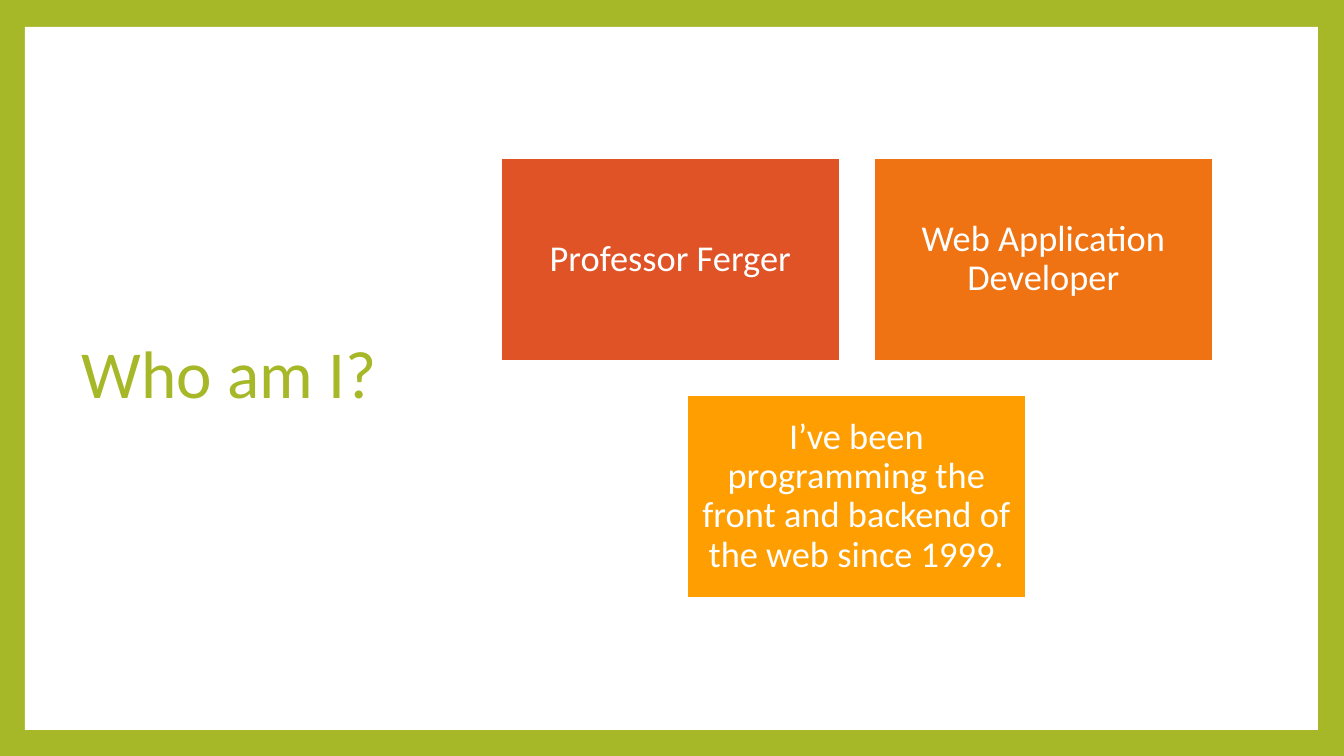
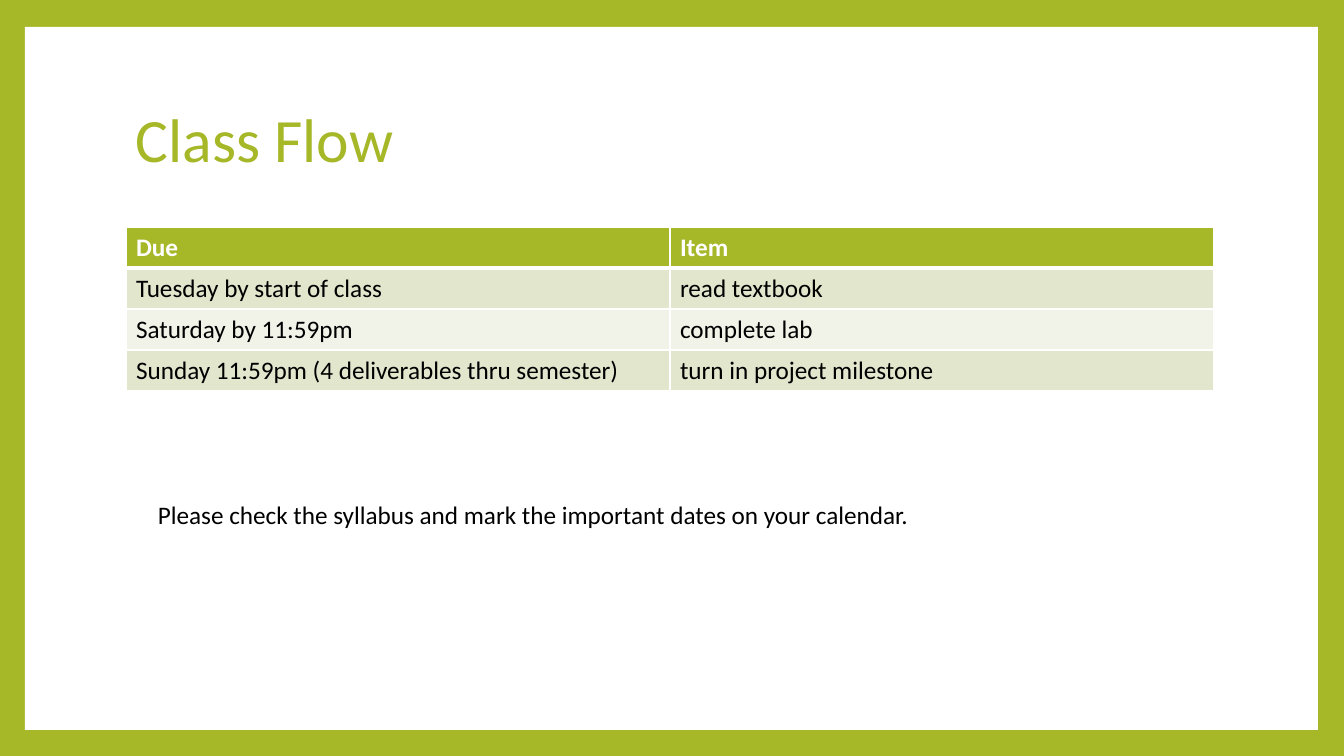
from dataclasses import dataclass

from lxml import etree
from pptx import Presentation
from pptx.dml.color import RGBColor
from pptx.enum.shapes import MSO_SHAPE
from pptx.enum.text import MSO_ANCHOR, PP_ALIGN
from pptx.oxml.ns import qn
from pptx.presentation import Presentation as Deck
from pptx.shapes.autoshape import Shape
from pptx.slide import Slide
from pptx.table import _Cell
from pptx.text.text import TextFrame
from pptx.util import Emu, Pt

RECT = MSO_SHAPE.RECTANGLE
TOP, MIDDLE = MSO_ANCHOR.TOP, MSO_ANCHOR.MIDDLE
LEFT, CENTER = PP_ALIGN.LEFT, PP_ALIGN.CENTER

GREEN = RGBColor(0xA6, 0xB7, 0x27)
RED = RGBColor(0xDF, 0x53, 0x27)
ORANGE = RGBColor(0xEF, 0x72, 0x13)
AMBER = RGBColor(0xFE, 0x9E, 0x00)
SAGE = RGBColor(0xE1, 0xE6, 0xCD)
PALE = RGBColor(0xF1, 0xF3, 0xE8)
WHITE = RGBColor(0xFF, 0xFF, 0xFF)
BLACK = RGBColor(0x00, 0x00, 0x00)

FONT = "Calibri"
SCALE = 914400 / 100.8
WIDE, HIGH = 1344, 756


@dataclass(frozen=True)
class Box:
    x: int
    y: int
    w: int
    h: int

    def emu(self) -> tuple[Emu, Emu, Emu, Emu]:
        return px(self.x), px(self.y), px(self.w), px(self.h)


@dataclass(frozen=True)
class Card:
    text: str
    fill: RGBColor
    col: float
    row: int


PANEL = Box(25, 27, 1293, 703)
CARD = Box(501, 158, 339, 203)
GAP = 34
CARDS = (
    Card("Professor Ferger", RED, 0, 0),
    Card("Web Application Developer", ORANGE, 1, 0),
    Card("I’ve been programming the front and backend of the web since 1999.", AMBER, 0.5, 1),
)
GRID = Box(126, 227, 1088, 164)
ROWS = (
    ("Due", "Item"),
    ("Tuesday by start of class", "read textbook"),
    ("Saturday by 11:59pm", "complete lab"),
    ("Sunday 11:59pm (4 deliverables thru semester)", "turn in project milestone"),
)


def px(size: float) -> Emu:
    return Emu(round(size * SCALE))


def write(frame: TextFrame, text: str, *, size: int = 18, color: RGBColor = BLACK,
          bold: bool = False, align: PP_ALIGN = LEFT, space: float = 1.0) -> None:
    para = frame.paragraphs[0]
    para.alignment = align
    para.line_spacing = space
    run = para.add_run()
    run.text = text
    font = run.font
    font.name, font.size, font.bold = FONT, Pt(size), bold
    font.color.rgb = color


def label(slide: Slide, box: Box, text: str, *, size: int = 18,
          color: RGBColor = BLACK, anchor: MSO_ANCHOR = TOP, space: float = 1.0) -> None:
    frame = slide.shapes.add_textbox(*box.emu()).text_frame
    frame.word_wrap = True
    frame.vertical_anchor = anchor
    write(frame, text, size=size, color=color, space=space)


def block(slide: Slide, box: Box, fill: RGBColor) -> Shape:
    shape = slide.shapes.add_shape(RECT, *box.emu())
    shape.shadow.inherit = False
    shape.fill.solid()
    shape.fill.fore_color.rgb = fill
    shape.line.fill.background()
    return shape


def start(deck: Deck, title: str, box: Box, size: int) -> Slide:
    slide = deck.slides.add_slide(deck.slide_layouts[6])
    back = slide.background.fill
    back.solid()
    back.fore_color.rgb = GREEN
    block(slide, PANEL, WHITE)
    label(slide, box, title, size=size, color=GREEN, anchor=MIDDLE, space=0.9)
    return slide


def tile(slide: Slide, card: Card) -> None:
    x = CARD.x + round(card.col * (CARD.w + GAP))
    y = CARD.y + card.row * (CARD.h + GAP)
    shape = block(slide, Box(x, y, CARD.w, CARD.h), card.fill)
    shape.line.color.rgb = WHITE
    shape.line.width = Pt(1.5)
    frame = shape.text_frame
    frame.word_wrap = True
    frame.vertical_anchor = MIDDLE
    frame.margin_left = frame.margin_right = px(11)
    frame.margin_top = frame.margin_bottom = px(11)
    write(frame, card.text, size=26, color=WHITE, align=CENTER, space=0.9)


def edge(cell: _Cell, top: int, bottom: int) -> None:
    props = cell._tc.get_or_add_tcPr()
    sides = (("L", 1), ("R", 1), ("T", top), ("B", bottom))
    for spot, (side, width) in enumerate(sides):
        line = etree.Element(qn(f"a:ln{side}"), w=str(Pt(width)))
        fill = etree.SubElement(line, qn("a:solidFill"))
        etree.SubElement(fill, qn("a:srgbClr"), val=str(WHITE))
        props.insert(spot, line)


def chart(slide: Slide) -> None:
    count, span = len(ROWS), len(ROWS[0])
    table = slide.shapes.add_table(count, span, *GRID.emu()).table
    for col in table.columns:
        col.width = px(GRID.w / span)
    for r, row in enumerate(ROWS):
        head = r == 0
        table.rows[r].height = px(GRID.h / count)
        for c, text in enumerate(row):
            cell = table.cell(r, c)
            cell.fill.solid()
            cell.fill.fore_color.rgb = GREEN if head else SAGE if r % 2 else PALE
            edge(cell, 3 if r == 1 else 1, 3 if head else 1)
            write(cell.text_frame, text, color=WHITE if head else BLACK, bold=head)


def main() -> None:
    deck = Presentation()
    deck.slide_width, deck.slide_height = px(WIDE), px(HIGH)

    intro = start(deck, "Who am I?", Box(72, 68, 371, 618), 48)
    for card in CARDS:
        tile(intro, card)

    flow = start(deck, "Class Flow", Box(126, 68, 1088, 149), 44)
    chart(flow)
    label(flow, Box(148, 494, 1048, 72),
          "Please check the syllabus and mark the important dates on your calendar.")

    deck.save("out.pptx")


if __name__ == "__main__":
    main()
